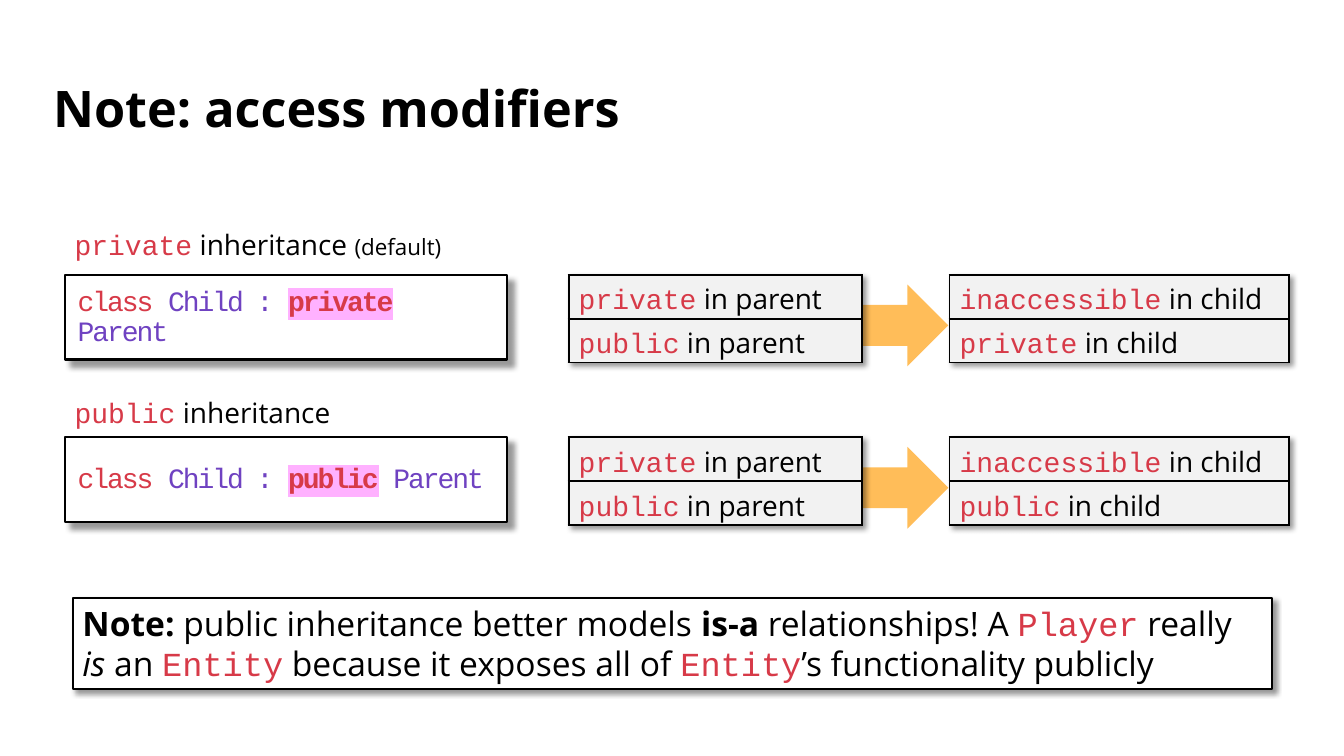
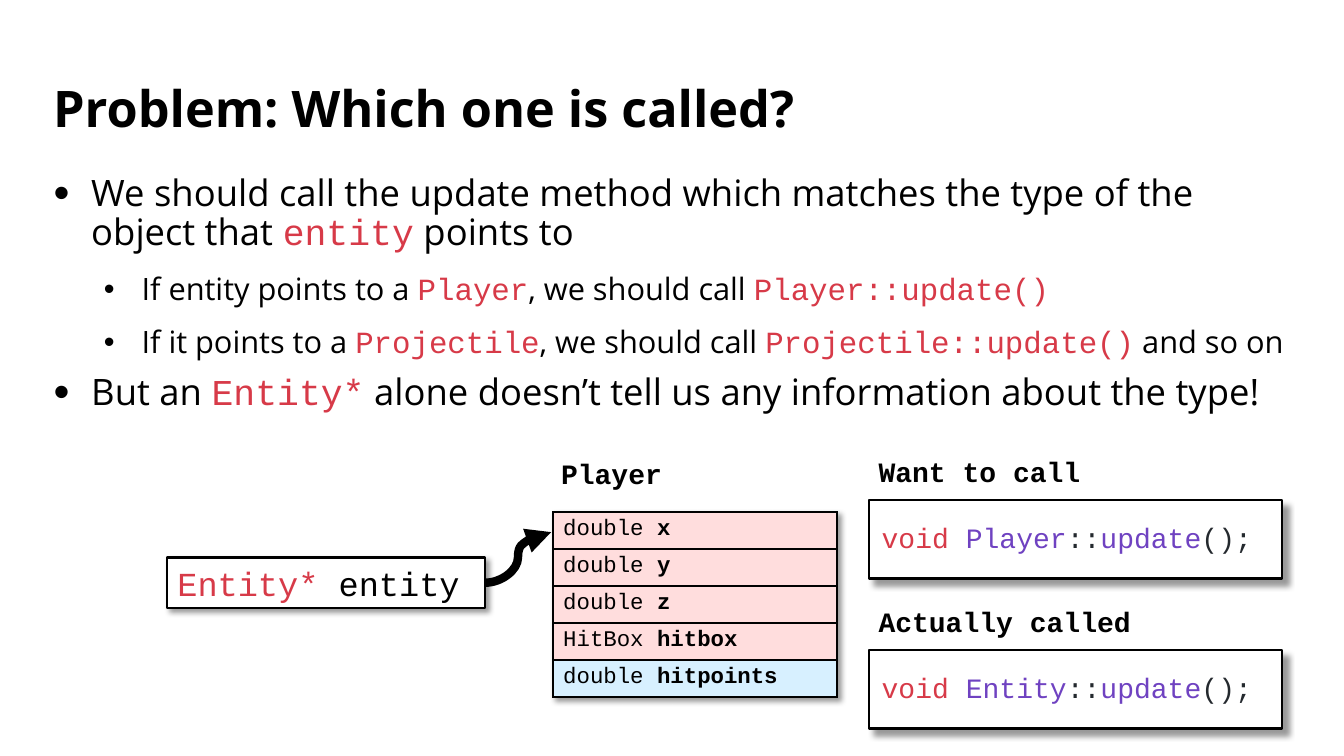
"""Build two lecture slides on inheritance and method calls."""
from dataclasses import dataclass

import lxml.etree
import pptx
import pptx.dml.color
import pptx.enum.shapes
import pptx.enum.text
import pptx.oxml.ns
import pptx.util

Cm = pptx.util.Cm
Pt = pptx.util.Pt
qn = pptx.oxml.ns.qn
SHAPES = pptx.enum.shapes.MSO_SHAPE
ANCHOR = pptx.enum.text.MSO_ANCHOR


@dataclass(frozen=True)
class Theme:
    sans: str = "Open Sans"
    mono: str = "Courier New"
    ink: str = "000000"
    paper: str = "FFFFFF"
    keyword: str = "D73A48"
    name: str = "6F42C1"
    symbol: str = "24292E"
    marker: str = "FFB1FF"
    arrow: str = "FFBD59"
    cell: str = "F2F2F2"
    inherited: str = "FFDDDD"
    own: str = "D7F0FF"
    title: int = 36
    body: int = 26
    note: int = 24
    detail: int = 22
    label: int = 20
    small: int = 16
    outline: float = 1.5
    curve: float = 6


THEME = Theme()


def rgb(value):
    return pptx.dml.color.RGBColor.from_string(value)


def element(parent, tag, **attributes):
    return lxml.etree.SubElement(parent, qn(tag), attributes)


def styled(text, **style):
    return text, style


def code(text, color=THEME.keyword, **style):
    return styled(text, font=THEME.mono, color=color, **style)


def write(para, text, size=THEME.label, font=THEME.sans, color=THEME.ink,
          bold=False, italic=False, highlight=None, tracking=None):
    span = para.add_run()
    span.text = text
    span.font.size = Pt(size)
    span.font.bold = bold
    span.font.italic = italic
    span.font.color.rgb = rgb(color)
    span.font.name = font
    properties = span._r.get_or_add_rPr()
    if tracking:
        properties.set("spc", str(int(tracking * 100)))
    if highlight:
        marker = lxml.etree.Element(qn("a:highlight"))
        element(marker, "a:srgbClr", val=highlight)
        properties.find(qn("a:solidFill")).addnext(marker)


def write_line(para, spans, **defaults):
    for item in spans:
        text, style = (item, {}) if isinstance(item, str) else item
        write(para, text, **{**defaults, **style})


def cast_shadow(effects, distance):
    shadow = element(effects, "a:outerShdw", blurRad=str(Pt(4)), dist=str(Pt(distance)),
                     dir="2700000", algn="tl", rotWithShape="0")
    shade = element(shadow, "a:srgbClr", val=THEME.ink)
    element(shade, "a:alpha", val="40000")


class SlideWriter:
    def __init__(self):
        self.deck = pptx.Presentation()
        self.deck.slide_width = Cm(33.87)
        self.deck.slide_height = Cm(19.05)
        self.page = None

    def start(self, title):
        self.page = self.deck.slides.add_slide(self.deck.slide_layouts[6])
        self.text(1.09, 1.75, 31.67, 2.13, [title], spacing=0.9, anchor=ANCHOR.MIDDLE,
                  size=THEME.title, bold=True)

    def frame(self, shape, spans, spacing=None, anchor=ANCHOR.TOP, inset=None, **style):
        frame = shape.text_frame
        frame.word_wrap = True
        frame.vertical_anchor = anchor
        if inset:
            frame.margin_left = frame.margin_right = Cm(inset)
            frame.margin_top = frame.margin_bottom = Cm(inset)
        para = frame.paragraphs[0]
        para.alignment = pptx.enum.text.PP_ALIGN.LEFT
        if spacing:
            para.line_spacing = spacing
        write_line(para, spans, **style)

    def text(self, left, top, width, height, spans, **options):
        box = self.page.shapes.add_textbox(Cm(left), Cm(top), Cm(width), Cm(height))
        self.frame(box, spans, **options)

    def label(self, left, top, width, spans, **style):
        self.text(left, top, width, 1.12, spans, **style)

    def panel(self, left, top, width, height, spans, shadow=3, **options):
        box = self.page.shapes.add_shape(SHAPES.RECTANGLE, Cm(left), Cm(top),
                                         Cm(width), Cm(height))
        box.fill.solid()
        box.fill.fore_color.rgb = rgb(THEME.paper)
        box.line.color.rgb = rgb(THEME.ink)
        box.line.width = Pt(THEME.outline)
        box.shadow.inherit = False
        cast_shadow(box._element.spPr.find(qn("a:effectLst")), shadow)
        self.frame(box, spans, **options)
        return box

    def code_panel(self, left, top, width, height, spans):
        self.panel(left, top, width, height, spans, shadow=6, spacing=0.9,
                   anchor=ANCHOR.MIDDLE, inset=0.33)

    def block_arrow(self, left, top, width, height):
        arrow = self.page.shapes.add_shape(SHAPES.RIGHT_ARROW, Cm(left), Cm(top),
                                           Cm(width), Cm(height))
        arrow.fill.solid()
        arrow.fill.fore_color.rgb = rgb(THEME.arrow)
        arrow.line.fill.background()
        arrow.shadow.inherit = False

    def curve_from(self, box, right, bottom):
        kind = pptx.enum.shapes.MSO_CONNECTOR.CURVE
        curve = self.page.shapes.add_connector(
            kind, box.left + box.width, box.top + box.height // 2, Cm(right), Cm(bottom))
        curve.begin_connect(box, 3)
        curve.line.color.rgb = rgb(THEME.ink)
        curve.line.width = Pt(THEME.curve)
        element(curve.line._get_or_add_ln(), "a:tailEnd", type="triangle")
        element(curve._element.spPr, "a:effectLst")

    def table(self, left, top, width, row_height, rows, **style):
        table = self.page.shapes.add_table(len(rows), 1, Cm(left), Cm(top), Cm(width),
                                           Cm(row_height * len(rows))).table
        table.first_row = table.horz_banding = False
        effects = lxml.etree.Element(qn("a:effectLst"))
        table._tbl.tblPr.insert(0, effects)
        cast_shadow(effects, 3)
        for index, (fill, spans) in enumerate(rows):
            table.rows[index].height = Cm(row_height)
            cell = table.cell(index, 0)
            properties = cell._tc.get_or_add_tcPr()
            for side in ("a:lnL", "a:lnR", "a:lnT", "a:lnB"):
                border = element(properties, side, w=str(Pt(THEME.outline)))
                element(element(border, "a:solidFill"), "a:srgbClr", val=THEME.ink)
            cell.fill.solid()
            cell.fill.fore_color.rgb = rgb(fill)
            write_line(cell.text_frame.paragraphs[0], spans, **style)

    def bullets(self, left, top, width, height, items):
        box = self.page.shapes.add_textbox(Cm(left), Cm(top), Cm(width), Cm(height))
        frame = box.text_frame
        frame.word_wrap = True
        for index, (level, spans) in enumerate(items):
            para = frame.add_paragraph() if index else frame.paragraphs[0]
            properties = para._p.get_or_add_pPr()
            properties.set("marL", str(Cm(2.23 if level else 0.96)))
            properties.set("indent", str(Cm(-0.95)))
            element(properties, "a:buSzPct", val="100000" if level else "125000")
            element(properties, "a:buFont", typeface="Arial")
            element(properties, "a:buChar", char="•")
            para.level = level
            para.line_spacing = 1.25 if level else 0.9
            if index:
                para.space_before = Pt(5 if level else 10)
            write_line(para, spans, size=THEME.detail if level else THEME.body)


def access_modifiers(writer):
    writer.start("Note: access modifiers")
    cases = [
        ("private", [" inheritance ", styled("(default)", size=THEME.small)], 5.61, 6.93),
        ("public", [" inheritance"], 9.83, 11.02),
    ]
    for modifier, caption, label_top, top in cases:
        writer.label(1.63, label_top, 14.33, [code(modifier), *caption])
        writer.code_panel(1.63, top, 11.15, 2.13, [
            code("class ", tracking=-1.5),
            code("Child : ", THEME.name, tracking=-1.5),
            code(modifier, bold=True, highlight=THEME.marker, tracking=-1.5),
            code(" Parent", THEME.name, tracking=-1.5),
        ])
        writer.block_arrow(20.45, top + 0.24, 3.45, 2.06)
        for left, width, words, owner in (
            (14.33, 7.39, ("private", "public"), " in parent"),
            (23.93, 8.56, ("inaccessible", modifier), " in child"),
        ):
            writer.table(left, top, width, 1.1,
                         [(THEME.cell, [code(word), owner]) for word in words])
    writer.panel(1.83, 15.06, 30.23, 2.31, [
        styled("Note:", bold=True), " public inheritance better models ",
        styled("is-a", bold=True), " relationships! A ", code("Player"), " really ",
        styled("is", italic=True), " an ", code("Entity"),
        " because it exposes all of ", code("Entity"), "’s functionality publicly",
    ], size=THEME.note)


def which_is_called(writer):
    writer.start("Problem: Which one is called?")
    writer.bullets(1.09, 4.29, 31.67, 13.28, [
        (0, ["We should call the update method which matches the type of the object that ",
             code("entity"), " points to"]),
        (1, ["If entity points to a ", code("Player"), ", we should call ",
             code("Player::update()")]),
        (1, ["If it points to a ", code("Projectile"), ", we should call ",
             code("Projectile::update()"), " and so on"]),
        (0, ["But an ", code("Entity*"),
             " alone doesn’t tell us any information about the type!"]),
    ])
    pointer = writer.panel(4.22, 14.05, 8, 1.27,
                           [code("Entity*"), code(" entity", THEME.ink)], size=THEME.note)
    fields = [("double ", "x"), ("double ", "y"), ("double ", "z"),
              ("HitBox ", "hitbox"), ("double ", "hitpoints")]
    writer.table(13.94, 12.9, 7.16, 0.93, [
        (THEME.own if field == "hitpoints" else THEME.inherited,
         [kind, styled(field, bold=True)]) for kind, field in fields
    ], size=THEME.small, font=THEME.mono)
    writer.label(13.89, 11.38, 6.07, ["Player"], font=THEME.mono, bold=True)
    writer.curve_from(pointer, 13.89, 13.41)
    calls = [("Want to call", "Player"), ("Actually called", "Entity")]
    for index, (caption, owner) in enumerate(calls):
        top = 11.33 + 3.78 * index
        writer.code_panel(21.89, top + 1.27, 10.41, 1.98, [
            code("void "), code(owner, THEME.name), code("::", THEME.symbol),
            code("update", THEME.name), code("();", THEME.symbol),
        ])
        writer.label(21.89, top, 7.16, [caption], font=THEME.mono, bold=True)


def main():
    writer = SlideWriter()
    access_modifiers(writer)
    which_is_called(writer)
    writer.deck.save("out.pptx")


if __name__ == "__main__":
    main()
